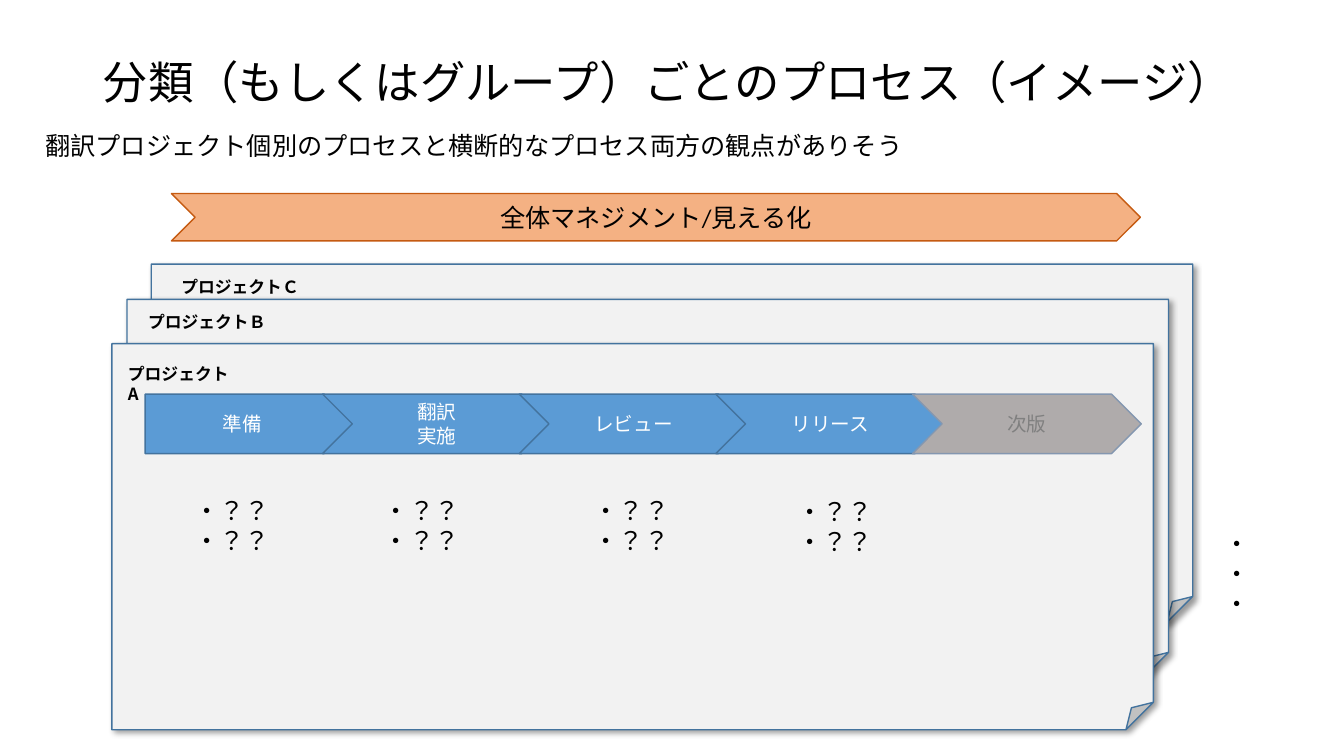
import pptx
import pptx.util
import pptx.dml.color
import pptx.enum.shapes
import pptx.enum.text
import pptx.oxml
import pptx.oxml.ns

Inches = pptx.util.Inches
Shapes = pptx.enum.shapes.MSO_SHAPE
Anchor = pptx.enum.text.MSO_ANCHOR
Align = pptx.enum.text.PP_ALIGN
GOTHIC = "Noto Sans CJK JP"
OUTLINE = "43739E"
NAMESPACE = pptx.oxml.ns.nsdecls("a")
FOLD = '<a:gd %s name="adj" fmla="val 7100"/>' % NAMESPACE
SHADOW = (
    '<a:effectLst %s><a:outerShdw blurRad="50800" dist="38100" dir="2700000" '
    'algn="tl" rotWithShape="0"><a:srgbClr val="000000"><a:alpha val="40000"/>'
    '</a:srgbClr></a:outerShdw></a:effectLst>' % NAMESPACE
)


def color(value):
    return pptx.dml.color.RGBColor.from_string(value)


def write(shape, lines, size, ink="000000", font=GOTHIC, bold=False,
          align=Align.LEFT, anchor=Anchor.TOP, wrap=True, spacing=1.0):
    frame = shape.text_frame
    for name, value in {"word_wrap": wrap, "vertical_anchor": anchor}.items():
        setattr(frame, name, value)
    for index, line in enumerate(lines):
        para = frame.paragraphs[0] if index == 0 else frame.add_paragraph()
        for name, value in {"alignment": align, "line_spacing": spacing}.items():
            setattr(para, name, value)
        span = para.add_run()
        span.text = line
        style = {"size": pptx.util.Pt(size), "name": font, "bold": bold}
        for name, value in style.items():
            setattr(span.font, name, value)
        span.font.color.rgb = color(ink)
        east_asian = pptx.oxml.parse_xml(
            '<a:ea %s typeface="%s"/>' % (NAMESPACE, GOTHIC))
        span.font._element.find(pptx.oxml.ns.qn("a:latin")).addnext(east_asian)


def add_label(page, box, lines, size, **style):
    label = page.shapes.add_textbox(*map(Inches, box))
    write(label, lines, size, **style)


def add_block(page, kind, box, fill, outline=OUTLINE):
    block = page.shapes.add_shape(kind, *map(Inches, box))
    block.shadow.inherit = False
    block.fill.solid()
    block.fill.fore_color.rgb = color(fill)
    block.line.color.rgb = color(outline)
    block.line.width = pptx.util.Pt(1)
    return block


def add_heading(page, box):
    left, top, width, height = box
    add_label(page, (left + 0.57, top, 11.5, 0.88),
              ["分類（もしくはグループ）ごとのプロセス（イメージ）"], 32.4,
              anchor=Anchor.MIDDLE, spacing=0.9)
    add_label(page, (left, top + 0.84, 8.78, 0.4),
              ["翻訳プロジェクト個別のプロセスと横断的なプロセス両方の観点がありそう"],
              18, wrap=False)


def add_management(page, box):
    arrow = add_block(page, Shapes.CHEVRON, box, "F4B183", "C55A11")
    write(arrow, ["全体マネジメント/見える化"], 18, font="Calibri",
          align=Align.CENTER, anchor=Anchor.MIDDLE)


def add_project(page, box, name, label_offset, label_width):
    left, top, width, height = box
    sheet = add_block(page, Shapes.FOLDED_CORNER, box, "F2F2F2")
    properties = sheet._element.spPr
    guides = properties.find(".//" + pptx.oxml.ns.qn("a:avLst"))
    guides.append(pptx.oxml.parse_xml(FOLD))
    effects = properties.find(pptx.oxml.ns.qn("a:effectLst"))
    properties.replace(effects, pptx.oxml.parse_xml(SHADOW))
    across, down = label_offset
    add_label(page, (left + across, top + down, label_width, 0.3), [name], 12,
              bold=True)


def add_process(page, box):
    left, top, width, height = box
    pitch, chevron_width, first_width = 1.95, 2.27, 2.07
    stages = [["準備"], ["翻訳", "実施"], ["レビュー"], ["リリース"], ["次版"]]
    for index, lines in enumerate(stages):
        kind, fill, outline, ink = Shapes.CHEVRON, "5B9BD5", OUTLINE, "FFFFFF"
        stage_left = left + width - chevron_width - pitch * (len(stages) - 1 - index)
        stage_width = chevron_width
        if index == 0:
            kind, stage_left, stage_width = Shapes.PENTAGON, left, first_width
        elif index == len(stages) - 1:
            fill, outline, ink = "AFABAB", "8497B0", "808080"
        stage = add_block(page, kind, (stage_left, top, stage_width, height),
                          fill, outline)
        write(stage, lines, 14, ink=ink, align=Align.CENTER, anchor=Anchor.MIDDLE)
    for offset, drop in [(0.39, 0.95), (2.27, 0.95), (4.35, 0.95), (6.37, 0.96)]:
        add_label(page, (left + offset, top + drop, 0.96, 0.71),
                  ["・？？"] * 2, 18, wrap=False)


def main():
    deck = pptx.Presentation()
    deck.slide_width, deck.slide_height = Inches(13.33), Inches(7.5)
    page = deck.slides.add_slide(deck.slide_layouts[6])
    add_heading(page, (0.35, 0.4, 12.07, 1.24))
    add_management(page, (1.7, 1.92, 9.61, 0.47))
    add_project(page, (1.5, 2.62, 10.33, 3.55), "プロジェクトＣ", (0.2, 0.08), 1.38)
    add_project(page, (1.26, 2.97, 10.33, 3.77), "プロジェクトＢ", (0.11, 0.07), 1.38)
    add_project(page, (1.11, 3.41, 10.33, 3.83), "プロジェクトA", (0.06, 0.15), 1.25)
    add_process(page, (1.44, 3.91, 9.88, 0.59))
    add_label(page, (12.05, 5.19, 0.58, 0.4), ["・・・"], 18, font="Calibri")
    deck.save("out.pptx")


if __name__ == "__main__":
    main()
